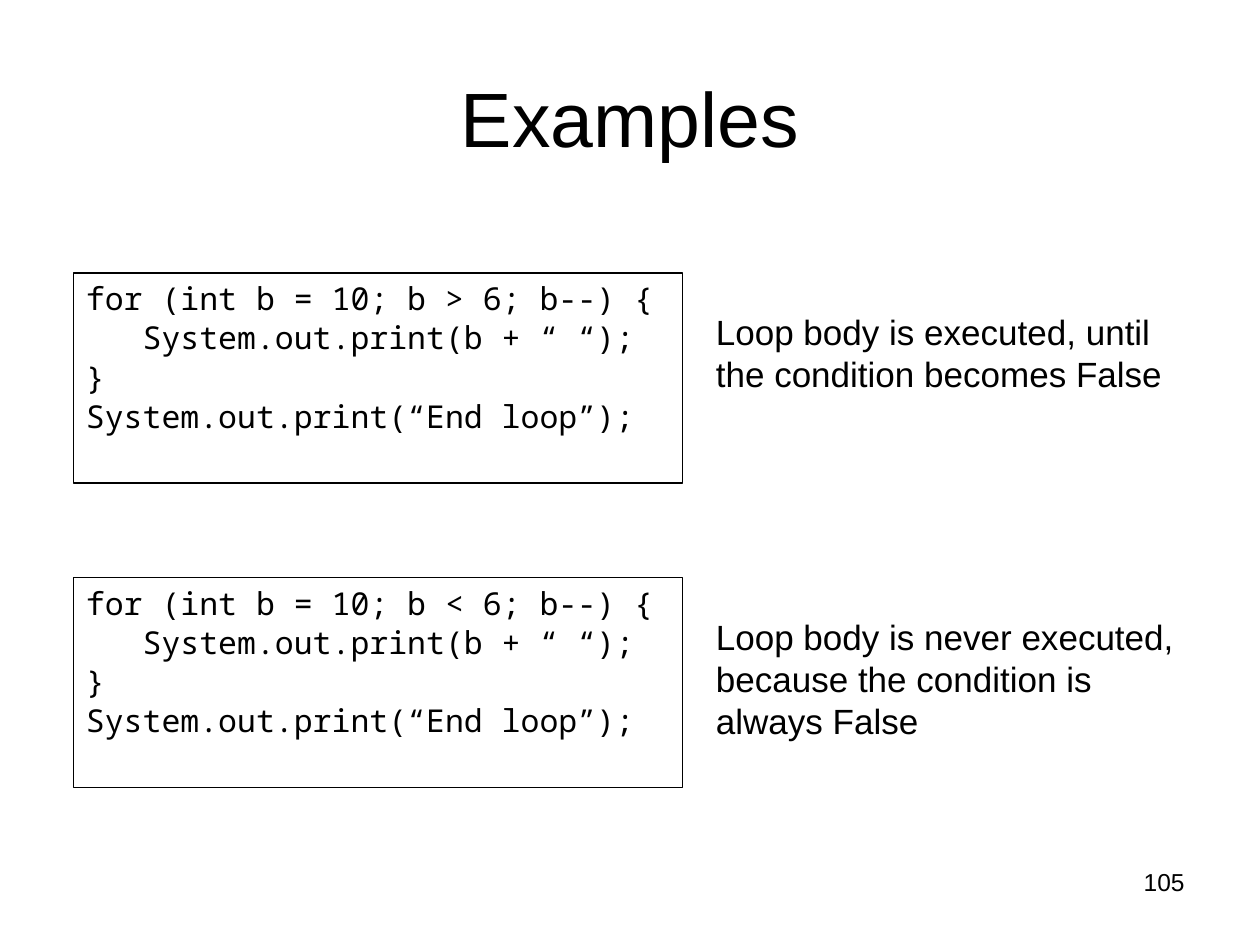
"""Build the slide that compares two Java for loops and explains their outcome."""
from dataclasses import dataclass

from pptx import Presentation
from pptx.dml.color import RGBColor
from pptx.enum.shapes import MSO_SHAPE
from pptx.enum.text import MSO_ANCHOR, PP_ALIGN
from pptx.util import Inches, Pt

RECTANGLE = MSO_SHAPE.RECTANGLE
LEFT, CENTER, RIGHT = PP_ALIGN.LEFT, PP_ALIGN.CENTER, PP_ALIGN.RIGHT
TOP, MIDDLE = MSO_ANCHOR.TOP, MSO_ANCHOR.MIDDLE


@dataclass(frozen=True)
class Theme:
    ink: RGBColor = RGBColor(0, 0, 0)
    body_font: str = "Arial"
    code_font: str = "Noto Sans Mono"
    title_size: float = 44
    note_size: float = 20
    code_size: float = 18
    number_size: float = 14
    code_gap: float = 0.8
    border: float = 0.75


THEME = Theme()
UNIT = Inches(1) // 12
CODE_INDENT = Pt(3 * 0.6 * THEME.code_size)


def cells(*counts):
    return [round(count * UNIT) for count in counts]


def write(holder, text, size, font=THEME.body_font, align=LEFT, anchor=TOP, gap=0):
    frame = holder.text_frame
    frame.word_wrap = True
    frame.vertical_anchor = anchor
    for index, line in enumerate(text.split("\n")):
        paragraph = frame.add_paragraph() if index else frame.paragraphs[0]
        paragraph.alignment = align
        paragraph.space_before = Pt(gap)
        if line.startswith("\t"):
            paragraph._p.get_or_add_pPr().set("marL", str(CODE_INDENT))
        run = paragraph.add_run()
        run.text = line.lstrip("\t")
        run.font.name = font
        run.font.size = Pt(size)
        run.font.color.rgb = THEME.ink


deck = Presentation()
deck.slide_width, deck.slide_height = cells(120, 90)
slide = deck.slides.add_slide(deck.slide_layouts[5])

title = slide.shapes.title
title.left, title.top, title.width, title.height = cells(6, 3.6, 108, 15)
write(title, "Examples", THEME.title_size, align=CENTER, anchor=MIDDLE)

page_number = slide.shapes.add_textbox(*cells(86, 82, 28, 6.25))
write(page_number, "105", THEME.number_size, align=RIGHT)

examples = [
    (26, ">", 9.25, "Loop body is executed, until the condition becomes False"),
    (55, "<", 13.3, "Loop body is never executed, because the condition is always False"),
]
for row, comparison, note_rows, explanation in examples:
    loop_code = slide.shapes.add_shape(RECTANGLE, *cells(7, row, 58, 20))
    loop_code.shadow.inherit = False
    loop_code.fill.background()
    loop_code.line.color.rgb = THEME.ink
    loop_code.line.width = Pt(THEME.border)
    write(
        loop_code,
        f"for (int b = 10; b {comparison} 6; b--) {{\n"
        "\tSystem.out.print(b + “ “);\n"
        "}\n"
        "System.out.print(“End loop”);",
        THEME.code_size,
        font=THEME.code_font,
        gap=THEME.code_gap,
    )
    note = slide.shapes.add_textbox(*cells(67, row + 3, 47, note_rows))
    write(note, explanation, THEME.note_size)

deck.save("out.pptx")
